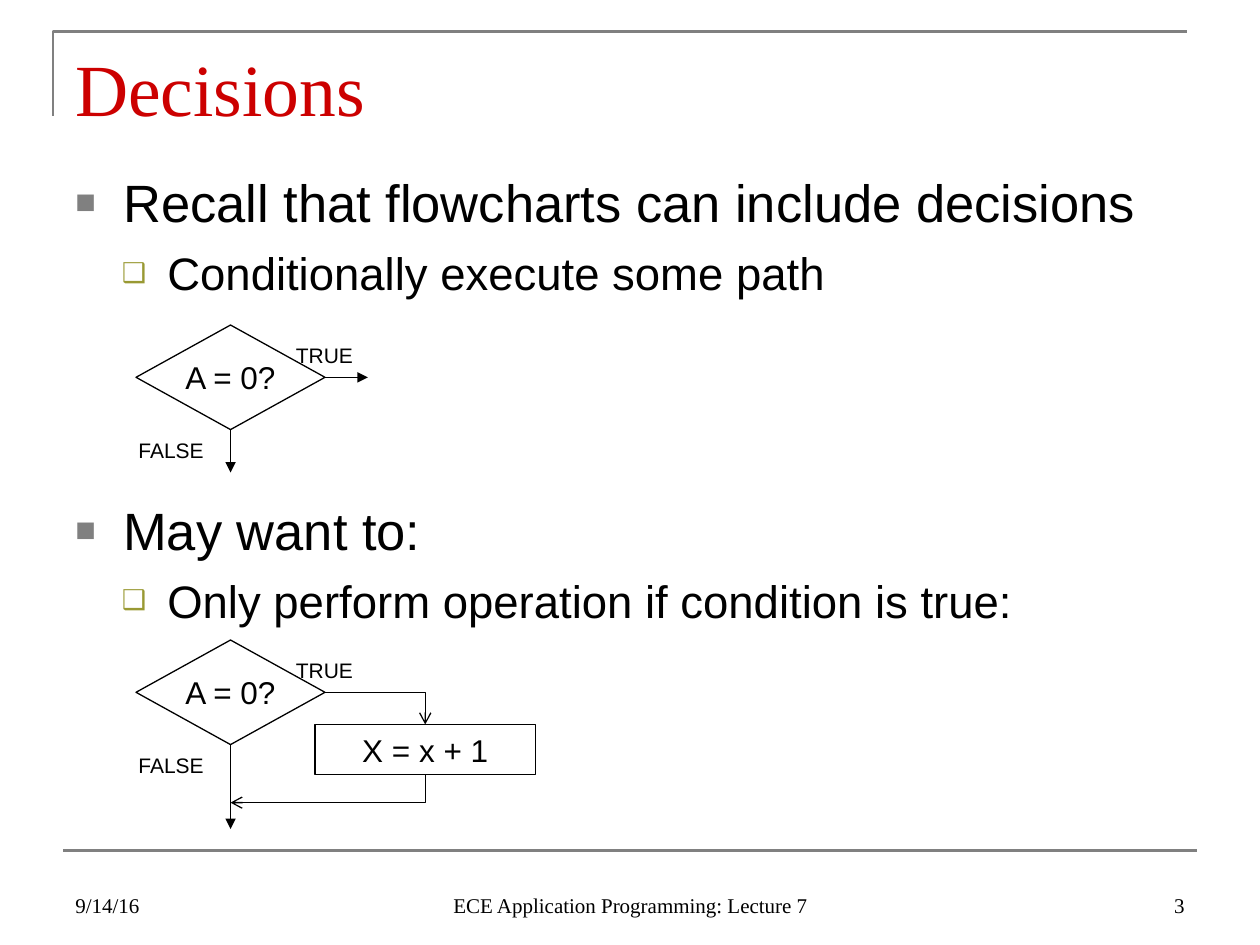
from lxml.etree import SubElement as Sub
from pptx import Presentation
from pptx.dml.color import RGBColor
from pptx.enum.shapes import MSO_CONNECTOR as Link, MSO_SHAPE as Kind
from pptx.enum.text import MSO_ANCHOR as Anchor, PP_ALIGN as Align
from pptx.oxml.ns import qn
from pptx.util import Inches, Pt

SANS, SERIF = "Arial", "Times New Roman"
BLACK, GRAY, RED, OLIVE = "000000", "808080", "CC0000", "999933"
LEVELS = [
    dict(left=0.38, hang=0.38, char="■", color=GRAY, scale=65, size=30),
    dict(left=0.73, hang=0.36, char="❑", color=OLIVE, scale=60, size=26),
]


def rgb(code):
    return RGBColor.from_string(code)


def style(para, size, face=SANS, color=BLACK, align=Align.LEFT):
    para.alignment = align
    para.font.size = Pt(size)
    para.font.name = face
    para.font.color.rgb = rgb(color)


def write(slide, box, text, size, face=SANS, color=BLACK,
          align=Align.LEFT, anchor=Anchor.TOP):
    frame = slide.shapes.add_textbox(*map(Inches, box)).text_frame
    frame.word_wrap = True
    frame.vertical_anchor = anchor
    frame.text = text
    style(frame.paragraphs[0], size, face, color, align)


def bullet(para, left, hang, char, color, scale, size):
    props = para._p.get_or_add_pPr()
    props.set("marL", str(Inches(left)))
    props.set("indent", str(-Inches(hang)))
    Sub(Sub(props, qn("a:buClr")), qn("a:srgbClr"), val=color)
    Sub(props, qn("a:buSzPct"), val=str(scale * 1000))
    Sub(props, qn("a:buFont"), typeface=SANS)
    Sub(props, qn("a:buChar"), char=char)
    style(para, size)


def points(slide, box, lines):
    frame = slide.shapes.add_textbox(*map(Inches, box)).text_frame
    frame.word_wrap = True
    for num, (line, level) in enumerate(zip(lines, LEVELS)):
        para = frame.add_paragraph() if num else frame.paragraphs[0]
        para.text = line
        para.level = num
        bullet(para, **level)
        if num:
            para.space_before = Pt(7)


def stroke(shape, color=BLACK, width=0.75):
    shape.line.color.rgb = rgb(color)
    shape.line.width = Pt(width)


def node(slide, kind, box, text, anchor, wrap):
    shape = slide.shapes.add_shape(kind, *map(Inches, box))
    shape.shadow.inherit = False
    shape.fill.background()
    stroke(shape)
    frame = shape.text_frame
    frame.word_wrap = wrap
    frame.vertical_anchor = anchor
    frame.text = text
    style(frame.paragraphs[0], 18, align=Align.CENTER)


def join(slide, start, end, head=None, kind=Link.STRAIGHT,
         color=BLACK, width=0.75):
    line = slide.shapes.add_connector(kind, *map(Inches, (*start, *end)))
    stroke(line, color, width)
    props = line._element.spPr
    if head:
        Sub(props.find(qn("a:ln")), qn("a:tailEnd"), type=head)
    Sub(props, qn("a:effectLst"))
    return line


def elbow(slide, start, end, turn=False):
    (x1, y1), (x2, y2) = start, end
    line = join(slide, start, end, "arrow", Link.ELBOW)
    props = line._element.spPr
    props.find(qn("a:prstGeom")).set("prst", "bentConnector2")
    if turn:
        wide, high = abs(y2 - y1), abs(x2 - x1)
        frame = props.find(qn("a:xfrm"))
        frame.attrib.pop("flipH", None)
        frame.set("rot", str(90 * 60000))
        line.left = Inches((x1 + x2 - wide) / 2)
        line.top = Inches((y1 + y2 - high) / 2)
        line.width, line.height = Inches(wide), Inches(high)


def choice(slide, left, top, drop):
    wide, high = 1.5, 0.83
    mid, base = left + wide / 2, top + high
    node(slide, Kind.FLOWCHART_DECISION, (left, top, wide, high),
         "A = 0?", Anchor.MIDDLE, False)
    join(slide, (mid, base), (mid, base + drop), "triangle")
    write(slide, (left + 1.17, top + 0.09, 0.67, 0.3), "TRUE", 12)
    write(slide, (left - 0.08, base + 0.01, 0.75, 0.3), "FALSE", 12)
    return mid, left + wide, top + high / 2


def test(slide, left, top):
    mid, right, y = choice(slide, left, top, 0.34)
    join(slide, (right, y), (right + 0.34, y), "triangle")


def branch(slide, left, top):
    mid, right, y = choice(slide, left, top, 0.67)
    box = x, step, wide, high = left + 1.42, top + 0.67, 1.75, 0.4
    node(slide, Kind.RECTANGLE, box, "X = x + 1", Anchor.TOP, True)
    hub = x + wide / 2
    elbow(slide, (right, y), (hub, step))
    elbow(slide, (hub, step + high), (mid, step + high + 0.22), True)


def header(slide, left, top, wide, high):
    path = slide.shapes.build_freeform(
        Inches(left), Inches(top + high), scale=1.0)
    path.add_line_segments(
        [(Inches(left), Inches(top)), (Inches(left + wide), Inches(top))],
        close=False)
    edge = path.convert_to_shape()
    edge.shadow.inherit = False
    edge.fill.background()
    stroke(edge, GRAY, 1.5)
    write(slide, (left + 0.08, top + 0.05, wide, 0.78), "Decisions",
          42, SERIF, RED, anchor=Anchor.MIDDLE)


def footer(slide, left, top, wide):
    join(slide, (left, top), (left + wide, top), color=GRAY, width=1.5)
    parts = [
        (0, 2.33, "9/14/16", Align.LEFT),
        (2.92, 3.17, "ECE Application Programming: Lecture 7", Align.CENTER),
        (6.67, 2.33, "3", Align.RIGHT),
    ]
    for x, span, text, align in parts:
        write(slide, (left + x, top + 0.08, span, 0.5), text,
              12, SERIF, align=align, anchor=Anchor.BOTTOM)


def main():
    deck = Presentation()
    deck.slide_width, deck.slide_height = Inches(10), Inches(7.5)
    slide = deck.slides.add_slide(deck.slide_layouts[6])
    header(slide, 0.42, 0.25, 9, 0.67)
    points(slide, (0.5, 1.3, 9, 1.15),
           ["Recall that flowcharts can include decisions",
            "Conditionally execute some path"])
    test(slide, 1.08, 2.58)
    points(slide, (0.5, 3.9, 9, 1.15),
           ["May want to:", "Only perform operation if condition is true:"])
    branch(slide, 1.08, 5.08)
    footer(slide, 0.5, 6.75, 9)
    deck.save("out.pptx")


if __name__ == "__main__":
    main()
